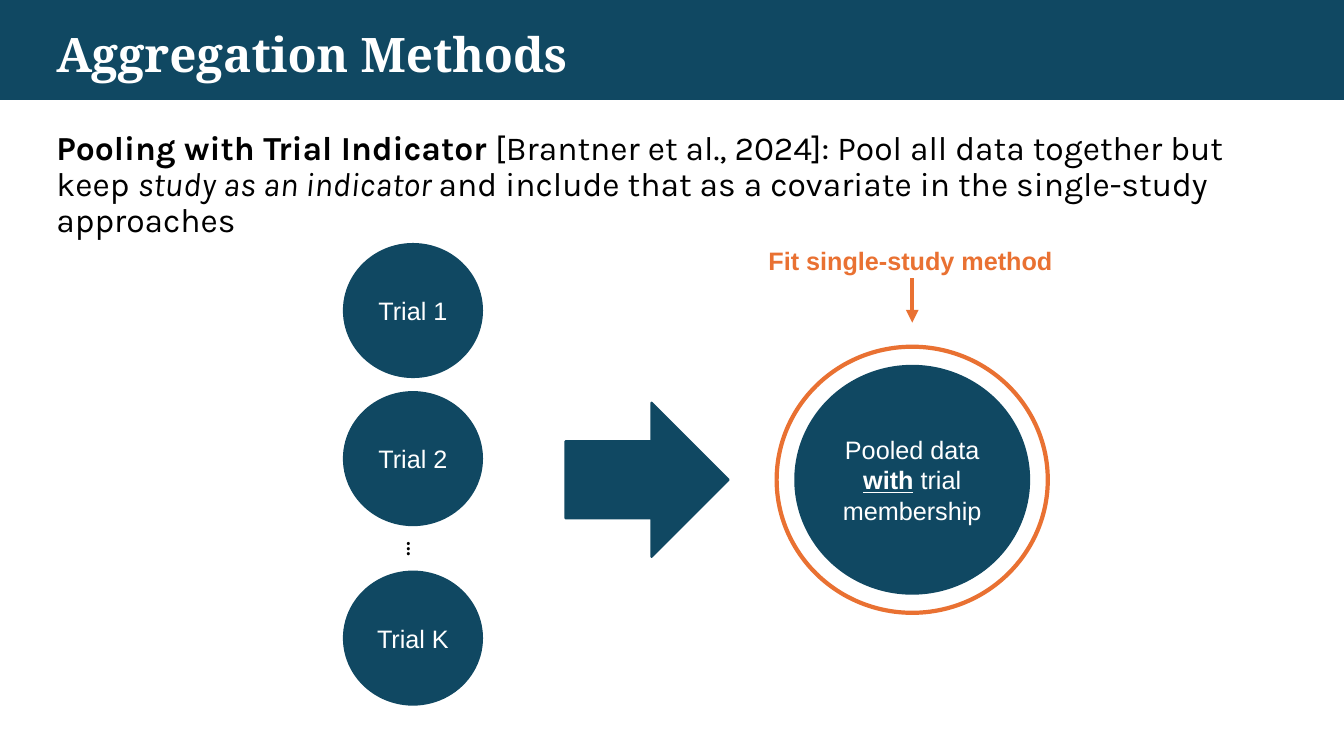
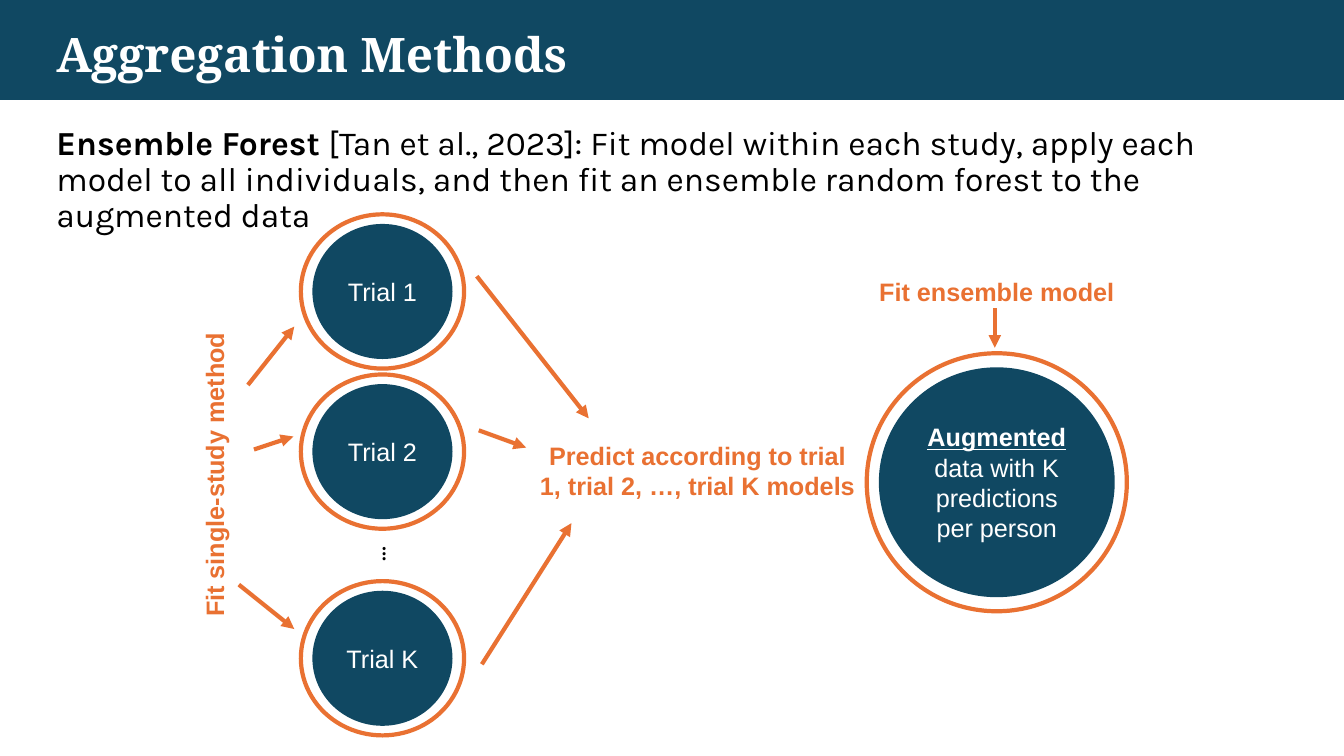
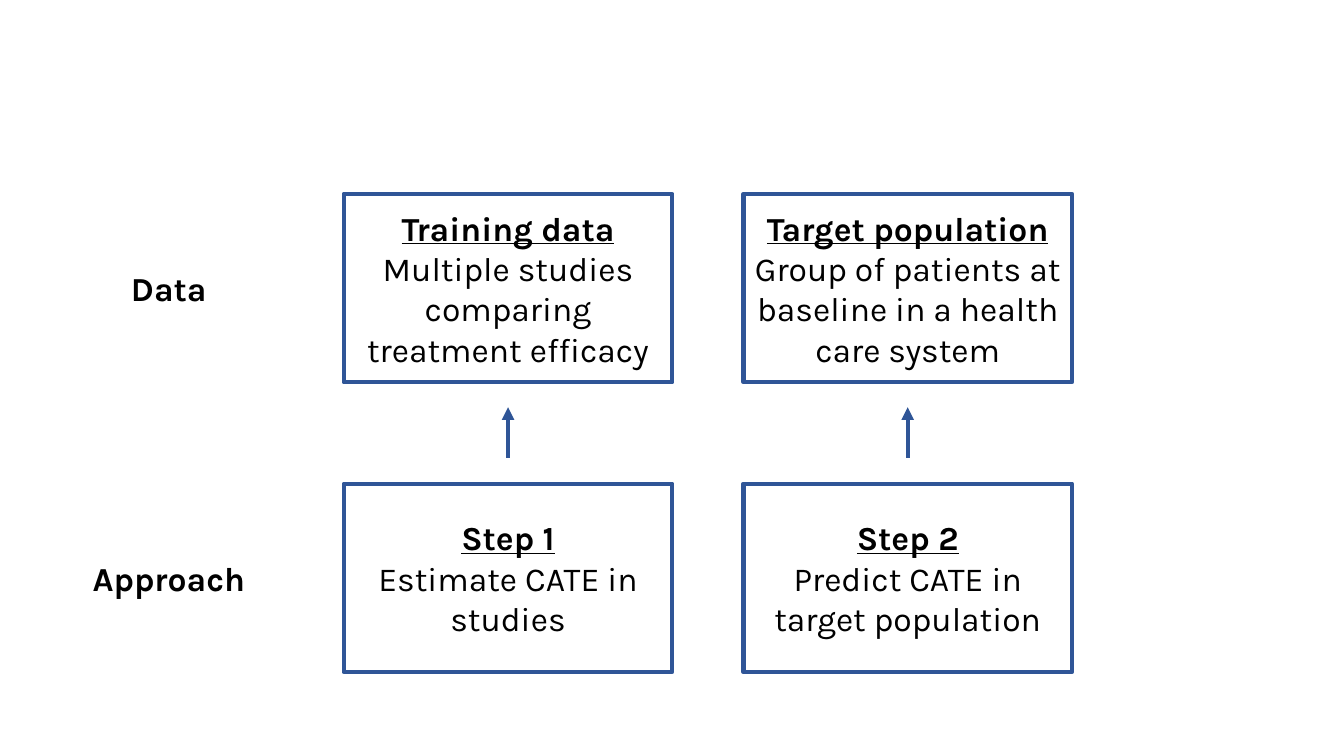
from lxml.etree import SubElement
from pptx import Presentation
from pptx.dml.color import RGBColor
from pptx.enum.shapes import MSO_CONNECTOR, MSO_SHAPE
from pptx.enum.text import MSO_ANCHOR, MSO_AUTO_SIZE, PP_ALIGN
from pptx.oxml.ns import qn
from pptx.util import Pt

# Colours
NAVY = RGBColor(0x10, 0x48, 0x62)
ORANGE = RGBColor(0xE9, 0x71, 0x32)
BLUE = RGBColor(0x2F, 0x55, 0x97)
WHITE = RGBColor(0xFF, 0xFF, 0xFF)
BLACK = RGBColor(0, 0, 0)

# Fonts
HEAD, BODY, LABEL = "Noto Serif", "Karla", "Arial"

# Shared sizes
WIDE, HIGH = 960, 540
TRIAL = 98.6, 95
RING = 116.6, 110.2
POOL = 167, 162.7
NAMES = "Trial 1", "Trial 2", "Trial K"


def write(shape, *paras, size=18, font=LABEL, color=WHITE, style="",
          align=PP_ALIGN.CENTER, anchor=MSO_ANCHOR.MIDDLE, wrap=True,
          fit=MSO_AUTO_SIZE.NONE):
    """Each paragraph is a list of runs: text, or (text, letters of b, i, u)."""
    frame = shape.text_frame
    frame.word_wrap = wrap
    frame.auto_size = fit
    frame.vertical_anchor = anchor
    for n, runs in enumerate(paras):
        para = frame.add_paragraph() if n else frame.paragraphs[0]
        para.alignment = align
        for item in runs:
            text, mark = (item, style) if isinstance(item, str) else item
            run = para.add_run()
            run.text = text
            face = run.font
            face.name, face.size = font, Pt(size)
            face.color.rgb = color
            face.bold, face.italic = "b" in mark, "i" in mark
            face.underline = "u" in mark


def place(shape, x, y, w, h):
    shape.left, shape.top, shape.width, shape.height = map(Pt, (x, y, w, h))


def form(slide, kind, x, y, w, h, fill=None, line=None, width=1.5):
    """Preset shape centred on x, y."""
    shape = slide.shapes.add_shape(kind, Pt(x - w / 2), Pt(y - h / 2), Pt(w), Pt(h))
    shape.shadow.inherit = False
    if fill is None:
        shape.fill.background()
    else:
        shape.fill.solid()
        shape.fill.fore_color.rgb = fill
    if line is None:
        shape.line.fill.background()
    else:
        shape.line.color.rgb = line
        shape.line.width = Pt(width)
    return shape


def disc(slide, x, y, size, *runs):
    write(form(slide, MSO_SHAPE.OVAL, x, y, *size, fill=NAVY, line=NAVY), runs)


def ring(slide, x, y, size):
    form(slide, MSO_SHAPE.OVAL, x, y, *size, line=ORANGE, width=3)


def note(slide, text, x, y, w, h, turn=0, color=ORANGE, style="b", **look):
    """Text box centred on x, y."""
    box = slide.shapes.add_textbox(Pt(x - w / 2), Pt(y - h / 2), Pt(w), Pt(h))
    box.rotation = turn
    write(box, [text], color=color, style=style, anchor=MSO_ANCHOR.TOP,
          fit=MSO_AUTO_SIZE.SHAPE_TO_FIT_TEXT, **look)


def dots(slide, x, y):
    note(slide, "…", x, y, 39.6, 31.7, turn=90, color=BLACK, style="",
         size=20, font=BODY)


def arrow(slide, x1, y1, x2, y2, color=ORANGE):
    link = slide.shapes.add_connector(
        MSO_CONNECTOR.STRAIGHT, Pt(x1), Pt(y1), Pt(x2), Pt(y2))
    link.line.color.rgb = color
    link.line.width = Pt(3)
    SubElement(link.line._get_or_add_ln(), qn("a:tailEnd"), type="triangle")
    SubElement(link.element.spPr, qn("a:effectLst"))


def method(deck, top, *runs):
    """Slide with the title band and an opening paragraph."""
    slide = deck.slides.add_slide(deck.slide_layouts[1])
    title, body = slide.placeholders
    band = form(slide, MSO_SHAPE.RECTANGLE, WIDE / 2, 35.65, WIDE, 71.3, fill=NAVY)
    title.element.addprevious(band.element)
    place(title, 33.1, 14.4, 846.7, 48.2)
    write(title, ["Aggregation Methods"], size=34, font=HEAD, style="b",
          align=PP_ALIGN.LEFT, anchor=MSO_ANCHOR.TOP)
    place(body, 33.1, top, 896.4, 342.7)
    write(body, runs, size=24, font=BODY, color=BLACK,
          align=PP_ALIGN.LEFT, anchor=MSO_ANCHOR.TOP)
    para = body.text_frame.paragraphs[0]
    para.line_spacing, para.space_before = 0.9, Pt(10)
    props = para._p.get_or_add_pPr()
    props.set("marL", "0")
    props.set("indent", "0")
    SubElement(props, qn("a:buNone"))
    return slide


def pooling(deck):
    slide = method(
        deck, 90, ("Pooling with Trial Indicator ", "b"),
        "[Brantner et al., 2024]: Pool all data together but keep ",
        ("study as an indicator ", "i"),
        "and include that as a covariate in the single-study approaches")
    # Trials
    for name, y in zip(NAMES, (221.8, 327.6, 455.8)):
        disc(slide, 295, y, TRIAL, name)
    dots(slide, 298.4, 392.4)
    # Pooled data
    form(slide, MSO_SHAPE.RIGHT_ARROW, 462.2, 342.7, 116.6, 110.2,
         fill=NAVY, line=NAVY)
    x, y = 651.6, 342.7
    disc(slide, x, y, POOL, "Pooled data ", ("with", "bu"), " trial membership ")
    ring(slide, x, y, (193.7, 190.1))
    note(slide, "Fit single-study method", x, 185.8, 219.6, 28.8,
         align=PP_ALIGN.LEFT, wrap=False)
    arrow(slide, x, 198.7, x, 230.4)


def forest(deck):
    slide = method(
        deck, 86.4, ("Ensemble Forest ", "b"),
        "[Tan et al., 2023]: Fit model within each study, apply each model to "
        "all individuals, and then fit an ensemble random forest to the "
        "augmented data")
    # Trials
    for name, y in zip(NAMES, (208.2, 322.6, 470.2)):
        disc(slide, 273.2, y, TRIAL, name)
        ring(slide, 273.2, y, RING)
    dots(slide, 281.2, 396)
    # Fit and predict
    note(slide, "Fit single-study method", 153, 339.1, 219.6, 28.8,
         turn=270, wrap=False)
    note(slide, "Predict according to trial 1, trial 2, …, trial K models",
         498.2, 336.6, 243.4, 51.1)
    for ends in ((177.1, 275, 210.2, 233.3), (181.4, 321.1, 209.5, 311.8),
                 (170.6, 417.6, 210.2, 449.3), (340.6, 197.3, 420.5, 298.8),
                 (342, 307.4, 375.8, 319.7), (344.2, 474.5, 408.2, 373.7)):
        arrow(slide, *ends)
    # Augmented data
    x, y = 712, 344.5
    disc(slide, x, y, POOL, ("Augmented", "bu"),
         " data with K predictions per person")
    ring(slide, x, y, (185.8, 184.3))
    note(slide, "Fit ensemble model", x, 208.1, 243.4, 28.8)
    arrow(slide, 710.6, 220.3, 710.6, 248.4)


def steps(deck):
    slide = deck.slides.add_slide(deck.slide_layouts[6])
    cols = 362.9, 648.4
    look = {"size": 24, "font": BODY, "color": BLACK}
    rows = (
        ("Data", 205.8,
         (("Training data", "Multiple studies comparing treatment efficacy"),
          ("Target population",
           "Group of patients at baseline in a health care system"))),
        ("Approach", 412.8,
         (("Step 1", "Estimate CATE in studies"),
          ("Step 2", "Predict CATE in target population"))))
    # Labels and boxes
    for label, y, cells in rows:
        note(slide, label, 120.6, y, 149, 36, **look)
        for x, (head, text) in zip(cols, cells):
            box = form(slide, MSO_SHAPE.RECTANGLE, x, y, 234.7, 134.6,
                       line=BLUE, width=3)
            write(box, [(head, "bu")], [text], **look)
    # Arrows from approach to data
    for x in cols:
        arrow(slide, x, 326.9, x, 290.9, color=BLUE)


def main():
    deck = Presentation()
    deck.slide_width, deck.slide_height = Pt(WIDE), Pt(HIGH)
    pooling(deck)
    forest(deck)
    steps(deck)
    deck.save("out.pptx")


if __name__ == "__main__":
    main()
